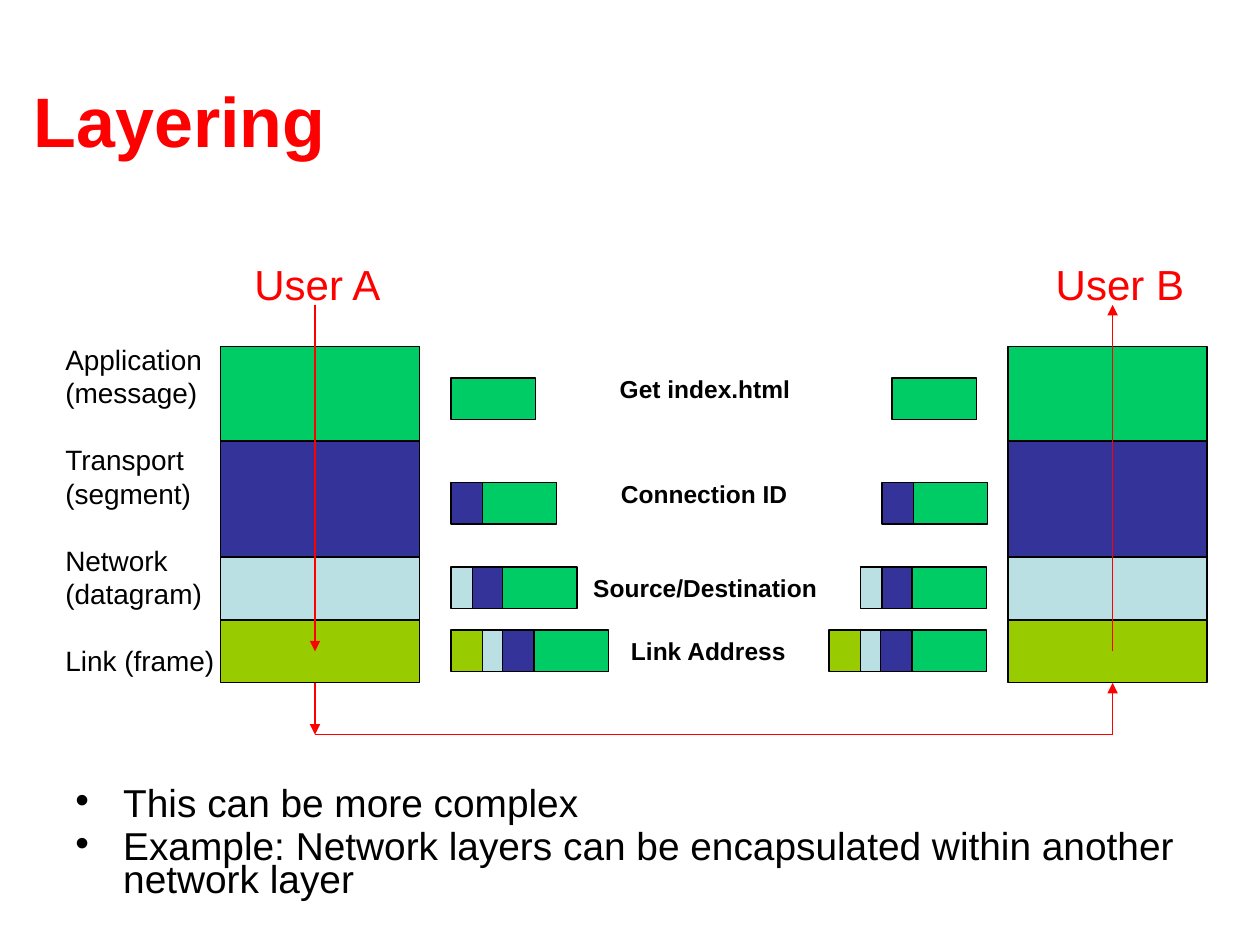
from lxml import etree
from pptx import Presentation
from pptx.dml.color import RGBColor
from pptx.enum import shapes, text
from pptx.oxml import ns
from pptx.util import Inches, Pt

RED, BLACK = "FF0000", "000000"
APPLICATION, TRANSPORT, NETWORK, LINK = "00CC66", "333399", "BBE0E3", "99CC00"
LAYERS = [(APPLICATION, 0.75), (TRANSPORT, 0.92), (NETWORK, 0.5), (LINK, 0.5)]
PACKETS = [
    (3, 3.58, 7.08, [(APPLICATION, 0, 0.67)]),
    (3.83, 3.58, 7, [(APPLICATION, 0.17, 0.67), (TRANSPORT, 0, 0.25)]),
    (4.5, 3.58, 6.83, [(APPLICATION, 0.33, 0.67), (TRANSPORT, 0.08, 0.33),
                       (NETWORK, 0, 0.17)]),
    (5, 3.58, 6.58, [(APPLICATION, 0.58, 0.67), (TRANSPORT, 0.33, 0.33),
                     (NETWORK, 0.08, 0.33), (LINK, 0, 0.25)]),
]
HEADER_LABELS = [
    ("Get index.html", 4.82, 2.92, 1.56),
    ("Connection ID", 4.83, 3.75, 1.52),
    ("Source/Destination", 4.61, 4.5, 1.98),
    ("Link Address", 4.91, 5, 1.44),
]


def color(value):
    return RGBColor.from_string(value)


def add_text(page, box, lines, size, shade=BLACK, bold=False, wrap=True):
    shape = page.shapes.add_textbox(*map(Inches, box))
    frame = shape.text_frame
    frame.word_wrap = wrap
    frame.text = "\n".join(lines)
    for para in frame.paragraphs:
        for span in para.runs:
            span.font.name = "Arial"
            span.font.size = Pt(size)
            span.font.bold = bold
            span.font.color.rgb = color(shade)
    return frame


def add_block(page, box, fill):
    block = page.shapes.add_shape(shapes.MSO_SHAPE.RECTANGLE, *map(Inches, box))
    block.shadow.inherit = False
    block.fill.solid()
    block.fill.fore_color.rgb = color(fill)
    block.line.color.rgb = color(BLACK)
    block.line.width = Pt(0.75)


def add_line(page, start, end, arrow=True):
    line = page.shapes.add_connector(
        shapes.MSO_CONNECTOR.STRAIGHT, *map(Inches, start + end))
    line.line.color.rgb = color(RED)
    line.line.width = Pt(0.75)
    if arrow:
        etree.SubElement(line.line._get_or_add_ln(), ns.qn("a:tailEnd"), type="triangle")
    etree.SubElement(line._element.spPr, ns.qn("a:effectLst"))


def add_title(page, box):
    frame = add_text(page, box, ["Layering"], 40, RED, bold=True)
    frame.vertical_anchor = text.MSO_ANCHOR.MIDDLE


def add_bullets(page, box):
    frame = add_text(page, box, [
        "This can be more complex",
        "Example: Network layers can be encapsulated within another network layer",
    ], 22.2)
    for index, para in enumerate(frame.paragraphs):
        para.line_spacing = 0.7
        para.space_before = Pt(6 if index else 0)
        properties = para._p.get_or_add_pPr()
        properties.set("marL", str(Inches(0.38)))
        properties.set("indent", str(-Inches(0.38)))
        etree.SubElement(properties, ns.qn("a:buFont"), typeface="Arial")
        etree.SubElement(properties, ns.qn("a:buChar"), char="•")


def add_stack(page, box):
    left, top, width, height = box
    scale = height / sum(share for _, share in LAYERS)
    for fill, share in LAYERS:
        add_block(page, (left, top, width, share * scale), fill)
        top += share * scale


def add_packet(page, box, segments):
    left, top, height = box
    for fill, offset, width in segments:
        add_block(page, (left + offset, top, width, height), fill)


def add_layer_names(page, box):
    frame = add_text(page, box, [
        "Application\v(message)", "Transport\v(segment)",
        "Network\v(datagram)", "Link (frame)",
    ], 16)
    for index, para in enumerate(frame.paragraphs):
        para.line_spacing = Pt(19.15)
        para.space_before = Pt(19.15 if index else 0)


def add_route(page, box):
    left, top, width, height = box
    right, bottom = left + width, top + height
    inside, exit_level = top + 2.75, top + 3
    add_line(page, (left, top), (left, inside))
    add_line(page, (right, inside), (right, top))
    add_line(page, (left, bottom), (right, bottom), arrow=False)
    add_line(page, (left, exit_level), (left, bottom))
    add_line(page, (right, bottom), (right, exit_level))


def main():
    deck = Presentation()
    deck.slide_width, deck.slide_height = Inches(10), Inches(7.5)
    page = deck.slides.add_slide(deck.slide_layouts[6])
    add_title(page, (0.17, 0.32, 9.58, 1.25))
    add_bullets(page, (0.5, 6.23, 9, 1.03))
    for left in (1.75, 8):
        add_stack(page, (left, 2.75, 1.58, 2.67))
    add_route(page, (2.5, 2.42, 6.33, 3.41))
    for top, sender, receiver, segments in PACKETS:
        for left in (sender, receiver):
            add_packet(page, (left, top, 0.33), segments)
    for label, left, top, width in HEADER_LABELS:
        add_text(page, (left, top, width, 0.33), [label], 14, bold=True, wrap=False)
    for user, left in (("User A", 1.92), ("User B", 8.28)):
        add_text(page, (left, 2, 1.22, 0.5), [user], 24, RED, wrap=False)
    add_layer_names(page, (0.42, 2.67, 1.58, 2.77))
    deck.save("out.pptx")


if __name__ == "__main__":
    main()
